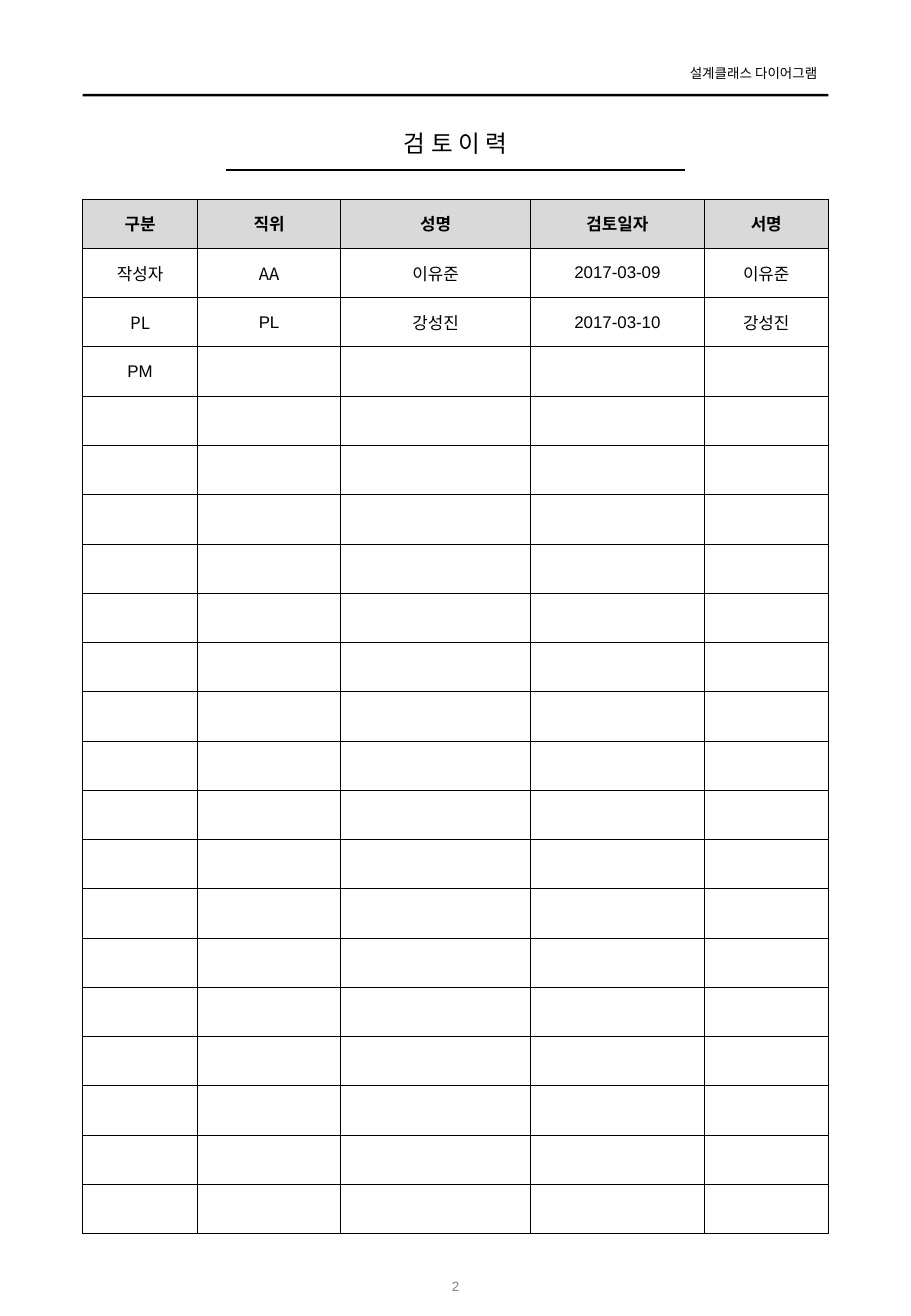
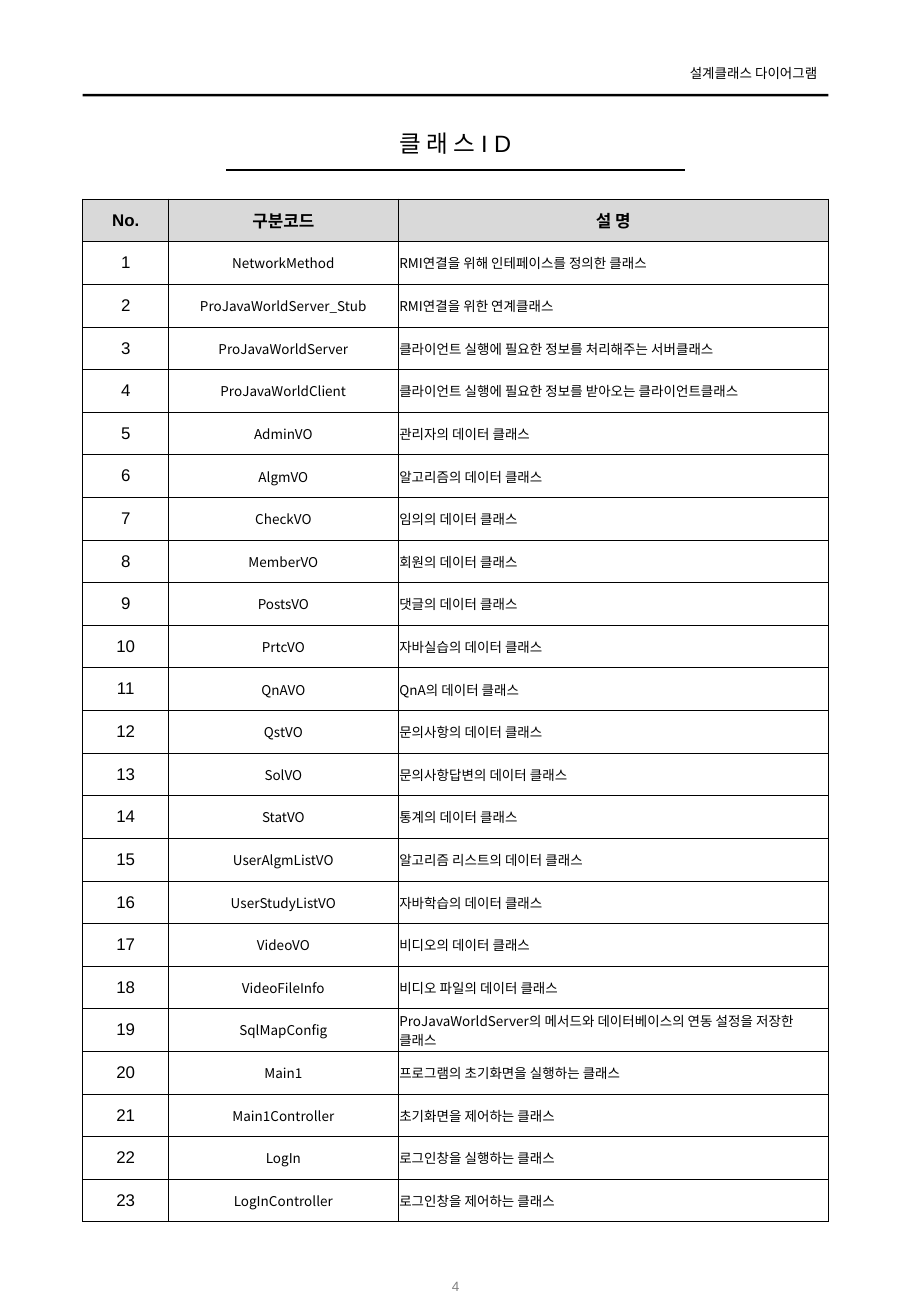
from lxml.etree import SubElement
from pptx import Presentation
from pptx.dml.color import RGBColor
from pptx.enum.shapes import MSO_CONNECTOR, MSO_SHAPE
from pptx.enum.text import MSO_ANCHOR, PP_ALIGN
from pptx.oxml import parse_xml
from pptx.oxml.ns import nsdecls, qn
from pptx.util import Pt

INK = {"black": "000000", "gray": "808080", "head": "D9D9D9"}
SANS, NOTO = "Arial", "Noto Sans CJK KR"
LEFT, WIDE = 49, 442
MID = LEFT + WIDE / 2
TOP = 118
HEADER = "설계클래스 다이어그램"

REVIEWS = [
    ("구분", "직위", "성명", "검토일자", "서명"),
    ("작성자", "AA", "이유준", "2017-03-09", "이유준"),
    ("PL", "PL", "강성진", "2017-03-10", "강성진"),
    ("PM", "", "", "", ""),
] + [("",) * 5] * 17

CLASSES = [
    ("NetworkMethod", "RMI연결을 위해 인테페이스를 정의한 클래스"),
    ("ProJavaWorldServer_Stub", "RMI연결을 위한 연계클래스"),
    ("ProJavaWorldServer", "클라이언트 실행에 필요한 정보를 처리해주는 서버클래스"),
    ("ProJavaWorldClient", "클라이언트 실행에 필요한 정보를 받아오는 클라이언트클래스"),
    ("AdminVO", "관리자의 데이터 클래스"),
    ("AlgmVO", "알고리즘의 데이터 클래스"),
    ("CheckVO", "임의의 데이터 클래스"),
    ("MemberVO", "회원의 데이터 클래스"),
    ("PostsVO", "댓글의 데이터 클래스"),
    ("PrtcVO", "자바실습의 데이터 클래스"),
    ("QnAVO", "QnA의 데이터 클래스"),
    ("QstVO", "문의사항의 데이터 클래스"),
    ("SolVO", "문의사항답변의 데이터 클래스"),
    ("StatVO", "통계의 데이터 클래스"),
    ("UserAlgmListVO", "알고리즘 리스트의 데이터 클래스"),
    ("UserStudyListVO", "자바학습의 데이터 클래스"),
    ("VideoVO", "비디오의 데이터 클래스"),
    ("VideoFileInfo", "비디오 파일의 데이터 클래스"),
    ("SqlMapConfig", "ProJavaWorldServer의 메서드와 데이터베이스의 연동 설정을 저장한 클래스"),
    ("Main1", "프로그램의 초기화면을 실행하는 클래스"),
    ("Main1Controller", "초기화면을 제어하는 클래스"),
    ("LogIn", "로그인창을 실행하는 클래스"),
    ("LogInController", "로그인창을 제어하는 클래스"),
]
CODES = [("No.", "구분코드", "설 명")] + [
    (str(num), *pair) for num, pair in enumerate(CLASSES, 1)
]

MAIN = (10, SANS, PP_ALIGN.CENTER)
CODE = (8, NOTO, PP_ALIGN.CENTER)
NOTE = (8, NOTO, PP_ALIGN.LEFT)

PAGES = [
    {"title": "검 토 이 력", "page": "2", "rows": REVIEWS, "high": 29.2,
     "cols": (68, 85, 112.5, 103, 73.5), "looks": (MAIN,) * 5,
     "noto": {(1, 1), (2, 0)}},
    {"title": "클 래 스 I D", "page": "4", "rows": CODES, "high": 25.27,
     "cols": (51, 136, 255), "looks": (MAIN, CODE, NOTE), "noto": set()},
]


def color(name):
    return RGBColor.from_string(INK[name])


def write(frame, text, size, font=SANS, align=PP_ALIGN.CENTER, ink="black", bold=False):
    frame.text = text
    para = frame.paragraphs[0]
    para.alignment = align
    for run in para.runs:
        run.font.size = Pt(size)
        run.font.name = font
        run.font.bold = bold
        run.font.color.rgb = color(ink)
        SubElement(run.font._element, qn("a:ea")).set("typeface", NOTO)
    if not text:
        SubElement(para._p, qn("a:endParaRPr")).set("sz", str(size * 100))


def label(slide, box, text, size, wrap=True, side=0, anchor=MSO_ANCHOR.TOP, **look):
    frame = slide.shapes.add_textbox(*map(Pt, box)).text_frame
    frame.word_wrap = wrap
    frame.margin_left = frame.margin_right = Pt(side)
    frame.vertical_anchor = anchor
    write(frame, text, size, **look)


def border(cell):
    props = cell._tc.get_or_add_tcPr()
    for spot, edge in enumerate(("lnL", "lnR", "lnT", "lnB")):
        props.insert(spot, parse_xml(
            f'<a:{edge} {nsdecls("a")} w="{Pt(0.5)}"><a:solidFill>'
            f'<a:srgbClr val="{INK["black"]}"/></a:solidFill></a:{edge}>'))


def frame_page(slide, title, page):
    bar = slide.shapes.add_shape(
        MSO_SHAPE.RECTANGLE, Pt(LEFT), Pt(55.6), Pt(WIDE), Pt(1.5))
    bar.shadow.inherit = False
    bar.fill.solid()
    bar.fill.fore_color.rgb = color("black")
    bar.line.fill.background()
    label(slide, (394, 34.8, 96.5, 17), HEADER, 8, wrap=False, side=5.8,
          align=PP_ALIGN.RIGHT)
    rule = slide.shapes.add_connector(
        MSO_CONNECTOR.STRAIGHT, Pt(MID - 136), Pt(100.8), Pt(MID + 136), Pt(100.8))
    rule.line.color.rgb = color("black")
    rule.line.width = Pt(1)
    SubElement(rule._element.spPr, qn("a:effectLst"))
    label(slide, (LEFT, 72.6, WIDE, 24.5), title, 14)
    label(slide, (MID - 34, 748, 68, 29), page, 8, anchor=MSO_ANCHOR.MIDDLE, ink="gray")


def grid(slide, rows, cols, high, looks, noto):
    table = slide.shapes.add_table(
        len(rows), len(cols), Pt(LEFT), Pt(TOP), Pt(WIDE), Pt(high * len(rows))).table
    for col, wide in zip(table.columns, cols):
        col.width = Pt(wide)
    for r, row in enumerate(rows):
        table.rows[r].height = Pt(high)
        for c, text in enumerate(row):
            cell = table.cell(r, c)
            cell.vertical_anchor = MSO_ANCHOR.MIDDLE
            cell.margin_left = cell.margin_right = Pt(0.72)
            cell.margin_top = cell.margin_bottom = Pt(0.72)
            size, font, align = looks[c] if r else MAIN
            if (r, c) in noto:
                font = NOTO
            write(cell.text_frame, text, size, font, align, bold=r == 0)
            if r:
                cell.fill.background()
            else:
                cell.fill.solid()
                cell.fill.fore_color.rgb = color("head")
            border(cell)


def main():
    deck = Presentation()
    deck.slide_width, deck.slide_height = Pt(540), Pt(780)
    for item in PAGES:
        slide = deck.slides.add_slide(deck.slide_layouts[6])
        frame_page(slide, item["title"], item["page"])
        grid(slide, item["rows"], item["cols"], item["high"], item["looks"], item["noto"])
    deck.save("out.pptx")


if __name__ == "__main__":
    main()
